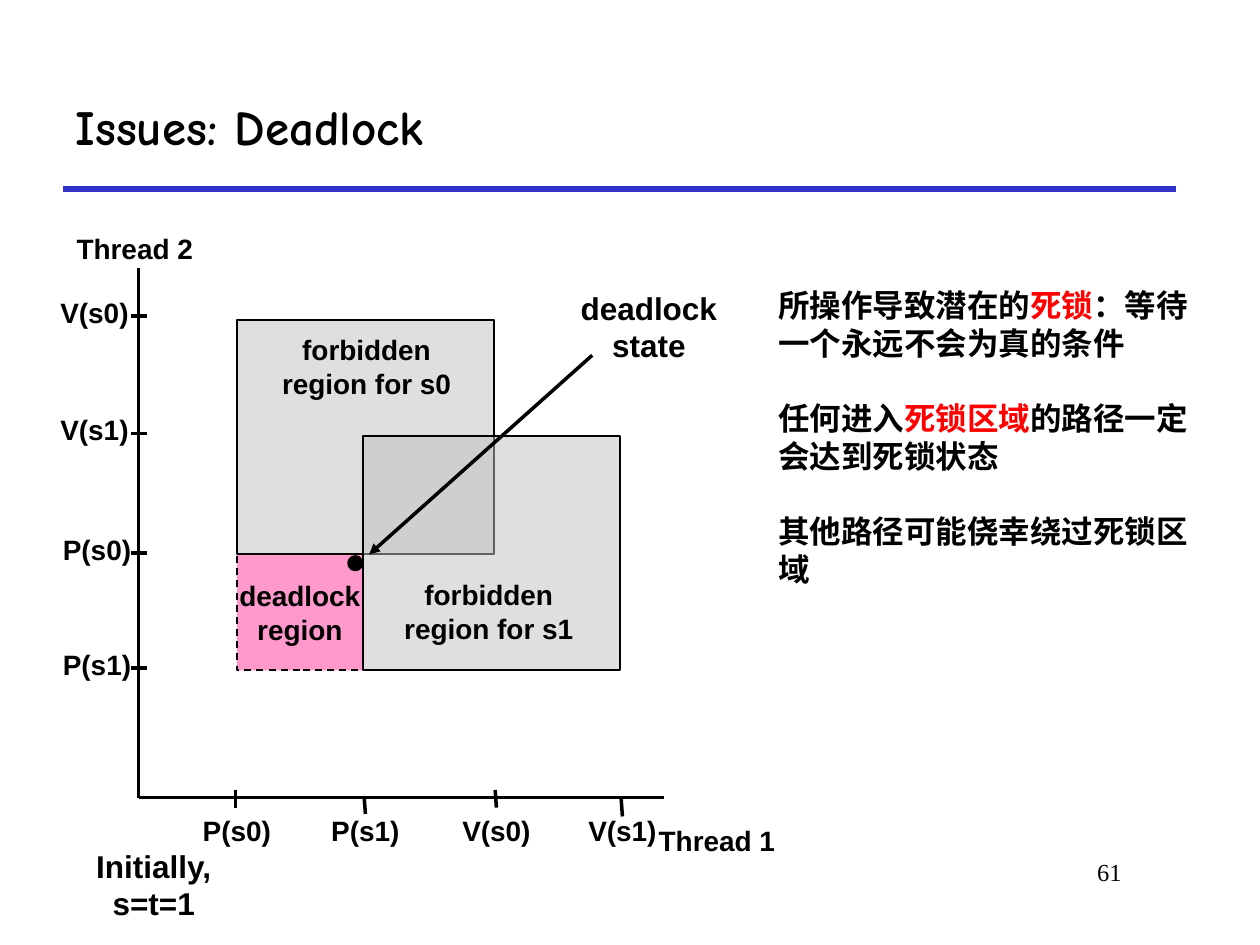
from dataclasses import dataclass

import pptx
import pptx.dml.color
import pptx.enum.dml
import pptx.enum.shapes
import pptx.enum.text
import pptx.oxml.ns
import pptx.util
from lxml import etree

Inches = pptx.util.Inches
Pt = pptx.util.Pt
Align = pptx.enum.text.PP_ALIGN
Anchor = pptx.enum.text.MSO_ANCHOR
Shape = pptx.enum.shapes.MSO_SHAPE


@dataclass(frozen=True)
class Theme:
    """Colours, fonts and type sizes of the slide."""

    ink: str = "000000"
    rule: str = "3333CC"
    accent: str = "FF0000"
    forbidden: str = "C0C0C0"
    deadlock: str = "FF99CC"
    sans: str = "Arial"
    serif: str = "Times New Roman"
    display: str = "Comic Neue"
    title: int = 28
    body: int = 18
    label: int = 16
    number: int = 14


THEME = Theme()


def rgb(value):
    """Return a colour object for a hex value."""
    return pptx.dml.color.RGBColor.from_string(value)


def style(para, size, name=THEME.sans, bold=True, align=Align.LEFT):
    """Set the font and alignment of a paragraph."""
    para.alignment = align
    para.font.size = Pt(size)
    para.font.name = name
    para.font.bold = bold
    para.font.color.rgb = rgb(THEME.ink)


def fill_lines(frame, lines, size):
    """Write centred bold lines into an unwrapped text frame."""
    frame.word_wrap = False
    frame.vertical_anchor = Anchor.MIDDLE
    frame.margin_top = frame.margin_bottom = 0
    for index, line in enumerate(lines):
        para = frame.paragraphs[0] if index == 0 else frame.add_paragraph()
        para.text = line
        style(para, size, align=Align.CENTER)


def add_label(page, center_x, center_y, lines, size=THEME.label):
    """Add a text box centred on a point."""
    width, height = Inches(1.6), Inches(0.3) * len(lines)
    box = page.shapes.add_textbox(center_x - width // 2, center_y - height // 2, width, height)
    fill_lines(box.text_frame, lines, size)


def add_line(page, start, end, color=THEME.ink, width=2, arrow=False):
    """Add a straight line, with an arrowhead at its end if asked."""
    line = page.shapes.add_connector(pptx.enum.shapes.MSO_CONNECTOR.STRAIGHT, *start, *end)
    line.line.color.rgb = rgb(color)
    line.line.width = Pt(width)
    if arrow:
        head = etree.SubElement(line.line._get_or_add_ln(), pptx.oxml.ns.qn("a:tailEnd"))
        head.set("type", "triangle")
    etree.SubElement(line._element.spPr, pptx.oxml.ns.qn("a:effectLst"))


def add_region(page, kind, left, top, width, height, color, line_width=1, opacity=None):
    """Add a filled shape with a black outline."""
    region = page.shapes.add_shape(kind, left, top, width, height)
    region.shadow.inherit = False
    region.fill.solid()
    region.fill.fore_color.rgb = rgb(color)
    region.line.color.rgb = rgb(THEME.ink)
    region.line.width = Pt(line_width)
    if opacity is not None:
        tint = region._element.spPr.find(".//" + pptx.oxml.ns.qn("a:srgbClr"))
        alpha = etree.SubElement(tint, pptx.oxml.ns.qn("a:alpha"))
        alpha.set("val", str(opacity * 1000))
    return region


def add_header(page, left, top, width, height):
    """Place the title and the rule under it."""
    title = page.shapes.title
    title.left, title.top, title.width, title.height = left, top, width, height
    frame = title.text_frame
    frame.text = "Issues: Deadlock"
    frame.vertical_anchor = Anchor.MIDDLE
    style(frame.paragraphs[0], THEME.title, THEME.display)
    bottom = top + height
    add_line(page, (left, bottom), (left + width, bottom), THEME.rule, 3)


def add_axes(page, left, top, width, height):
    """Draw both thread axes with their ticks and labels."""
    bottom = top + height
    add_line(page, (left, bottom), (left, top))
    add_line(page, (left, bottom), (left + width, bottom))
    add_label(page, left - Inches(0.03), top - Inches(0.16), ["Thread 2"])
    add_label(page, left + Inches(4.59), bottom + Inches(0.34), ["Thread 1"])

    columns = [("P(s0)", 0.77, -0.06, 0), ("P(s1)", 1.79, -0.01, 0.01),
               ("V(s0)", 2.83, -0.06, 0.01), ("V(s1)", 3.83, 0.01, 0.01)]
    for name, offset, rise, slant in columns:
        x, y = left + Inches(offset), bottom + Inches(rise)
        add_line(page, (x, y), (x + Inches(slant), y + Inches(0.14)))
        add_label(page, x + Inches(0.01), bottom + Inches(0.26), [name])

    rows = [("V(s0)", 0.38, -0.35), ("V(s1)", 1.31, -0.35),
            ("P(s0)", 2.26, -0.33), ("P(s1)", 3.17, -0.33)]
    for name, offset, shift in rows:
        y = top + Inches(offset)
        add_line(page, (left - Inches(0.06), y), (left + Inches(0.07), y))
        add_label(page, left + Inches(shift), y - Inches(0.03), [name])


def add_regions(page, left, top):
    """Draw the deadlock region, the forbidden regions and the deadlock state."""
    def at(x, y):
        """Return the point at an offset from the corner of the plot."""
        return left + Inches(x), top + Inches(y)

    trap = add_region(page, Shape.RECTANGLE, *at(0.78, 2.27), Inches(1), Inches(0.92), THEME.deadlock)
    trap.line.dash_style = pptx.enum.dml.MSO_LINE.DASH
    fill_lines(trap.text_frame, ["deadlock", "region"], THEME.label)

    forbidden = [("s0", (0.78, 0.41), (1.81, 0.78)), ("s1", (1.78, 1.33), (2.78, 2.72))]
    for name, corner, center in forbidden:
        add_region(page, Shape.RECTANGLE, *at(*corner), Inches(2.04), Inches(1.86),
                   THEME.forbidden, opacity=50)
        add_label(page, *at(*center), ["forbidden", f"region for {name}"])

    add_region(page, Shape.OVAL, *at(1.67, 2.29), Inches(0.1), Inches(0.1), THEME.ink, 2)
    add_label(page, *at(4.05, 0.46), ["deadlock", "state"], THEME.body)
    add_line(page, at(3.6, 0.69), at(1.83, 2.27), arrow=True)


def add_notes(page, left, top, width, height):
    """Write the explanation with its highlighted terms."""
    paragraphs = [
        [("所操作导致潜在的", THEME.ink), ("死锁", THEME.accent), ("：等待一个永远不会为真的条件", THEME.ink)],
        [("任何进入", THEME.ink), ("死锁区域", THEME.accent), ("的路径一定会达到死锁状态", THEME.ink)],
        [("其他路径可能侥幸绕过死锁区域", THEME.ink)],
    ]
    frame = page.shapes.add_textbox(left, top, width, height).text_frame
    frame.word_wrap = True
    frame.margin_top = frame.margin_bottom = 0
    for index, spans in enumerate(paragraphs):
        para = frame.add_paragraph() if index else frame.paragraphs[0]
        if index:
            para.space_before = Pt(21.5)
        style(para, THEME.body)
        for text, color in spans:
            span = para.add_run()
            span.text = text
            span.font.color.rgb = rgb(color)


def add_footer(page, left, top, width, height):
    """Place the initial condition and the page number."""
    add_label(page, left + Inches(0.92), top + Inches(0.27), ["Initially, s=t=1"], THEME.body)
    box = page.shapes.add_textbox(left + width - Inches(1.42), top, Inches(1.42), height)
    box.text_frame.word_wrap = True
    para = box.text_frame.paragraphs[0]
    para.text = "61"
    style(para, THEME.number, THEME.serif, False, Align.RIGHT)


def main():
    """Build the slide and save the deck."""
    deck = pptx.Presentation()
    deck.slide_width, deck.slide_height = Inches(10), Inches(7.5)
    page = deck.slides.add_slide(deck.slide_layouts[5])
    add_header(page, Inches(0.5), Inches(0.5), Inches(8.83), Inches(1))
    add_axes(page, Inches(1.1), Inches(2.13), Inches(4.17), Inches(4.2))
    add_regions(page, Inches(1.1), Inches(2.13))
    add_notes(page, Inches(6.08), Inches(2.27), Inches(3.59), Inches(2.7))
    add_footer(page, Inches(0.3), Inches(6.75), Inches(8.7), Inches(0.5))
    deck.save("out.pptx")


if __name__ == "__main__":
    main()
